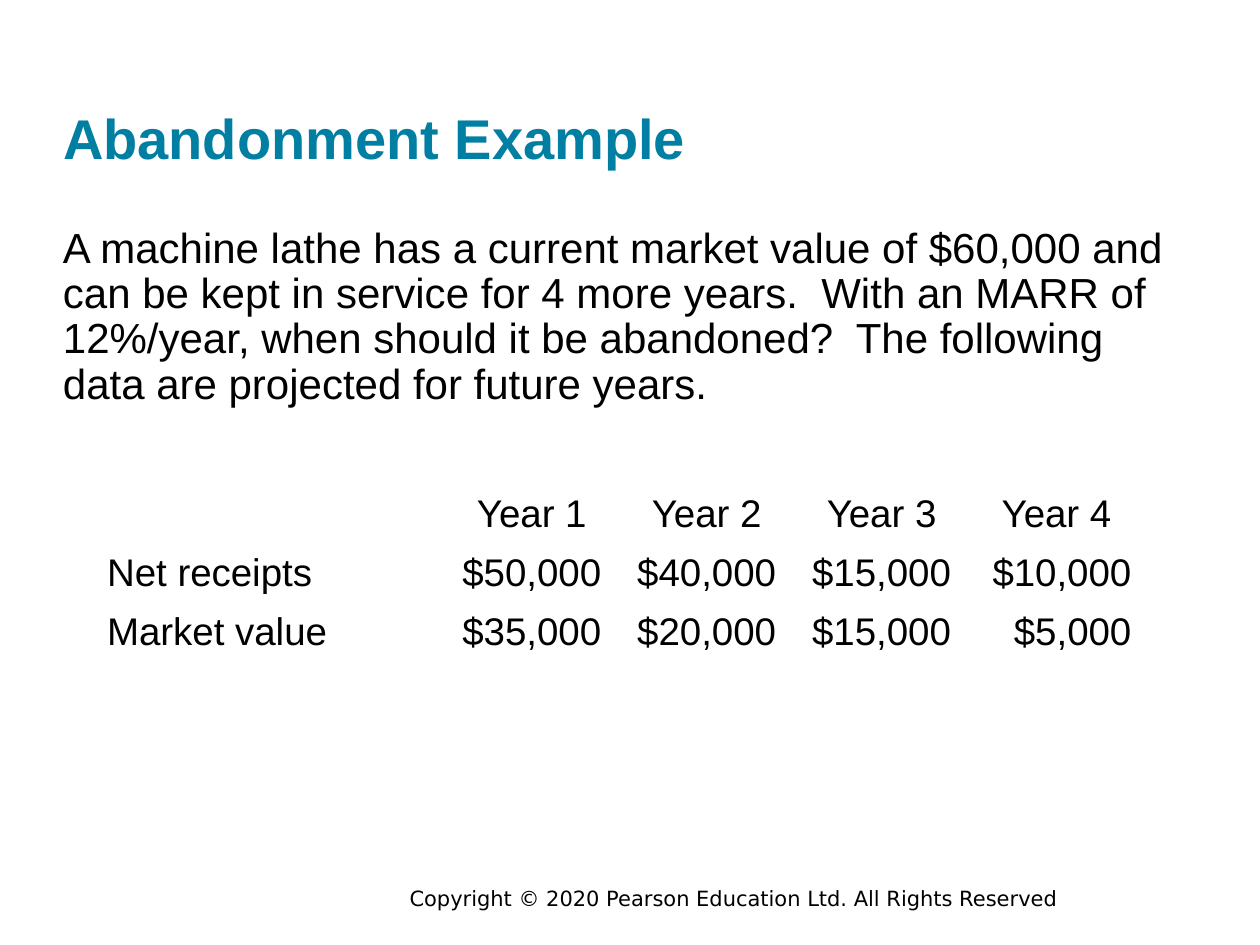
from dataclasses import dataclass

from pptx import Presentation
from pptx.dml.color import RGBColor
from pptx.enum import text
from pptx.util import Inches, Pt


@dataclass(frozen=True)
class Theme:
    accent: RGBColor = RGBColor(0x00, 0x7F, 0xA3)
    ink: RGBColor = RGBColor(0x00, 0x00, 0x00)
    font: str = "Arial"
    footer_font: str = "DejaVu Sans"
    title_size: int = 32
    body_size: int = 24
    table_size: int = 22
    footer_size: int = 12


THEME = Theme()
ALIGN = text.PP_ALIGN

BODY = (
    "A machine lathe has a current market value of $60,000 and can be kept in "
    "service for 4 more years.  With an MARR of 12%/year, when should it be "
    "abandoned?  The following data are projected for future years."
)
YEARS = ["Year 1", "Year 2", "Year 3", "Year 4"]
PROJECTIONS = {
    "Net receipts": ["$50,000", "$40,000", "$15,000", "$10,000"],
    "Market value": ["$35,000", "$20,000", "$15,000", "$5,000"],
}


def style(paragraph, size, color=THEME.ink, name=THEME.font, bold=False,
          align=ALIGN.LEFT):
    paragraph.alignment = align
    paragraph.font.size = Pt(size)
    paragraph.font.color.rgb = color
    paragraph.font.name = name
    paragraph.font.bold = bold


def write_block(shape, words):
    frame = shape.text_frame
    frame.word_wrap = True
    frame.auto_size = text.MSO_AUTO_SIZE.NONE
    frame.vertical_anchor = text.MSO_ANCHOR.TOP
    frame.margin_left = frame.margin_right = 0
    frame.margin_top = frame.margin_bottom = 0
    frame.text = words
    return frame.paragraphs[0]


def add_title(slide, box):
    title = slide.shapes.title
    title.left, title.top, title.width, title.height = box
    paragraph = write_block(title, "Abandonment Example")
    style(paragraph, THEME.title_size, THEME.accent, bold=True)


def add_body(slide, box):
    paragraph = write_block(slide.shapes.add_textbox(*box), BODY)
    paragraph.line_spacing = 0.9
    style(paragraph, THEME.body_size)


def add_footer(slide, box):
    paragraph = write_block(
        slide.shapes.add_textbox(*box),
        "Copyright © 2020 Pearson Education Ltd. All Rights Reserved",
    )
    style(paragraph, THEME.footer_size, name=THEME.footer_font)


def write_cell(cell, words, align):
    cell.vertical_anchor = text.MSO_ANCHOR.MIDDLE
    cell.text = words
    style(cell.text_frame.paragraphs[0], THEME.table_size, align=align)


def add_projections(slide, box):
    table = slide.shapes.add_table(1 + len(PROJECTIONS), 2 + len(YEARS), *box).table
    table.first_row = False
    table.horz_banding = False
    for cell in table.iter_cells():
        cell.fill.background()
    for column, year in enumerate(YEARS, 2):
        write_cell(table.cell(0, column), year, ALIGN.CENTER)
    for row, (label, amounts) in enumerate(PROJECTIONS.items(), 1):
        table.cell(row, 0).merge(table.cell(row, 1))
        write_cell(table.cell(row, 0), label, ALIGN.LEFT)
        for column, amount in enumerate(amounts, 2):
            last = column == len(YEARS) + 1
            write_cell(table.cell(row, column), amount,
                       ALIGN.RIGHT if last else ALIGN.CENTER)


def box(left, top, width, height):
    return Inches(left), Inches(top), Inches(width), Inches(height)


def main():
    presentation = Presentation()
    presentation.slide_width = Inches(10)
    presentation.slide_height = Inches(7.5)
    slide = presentation.slides.add_slide(presentation.slide_layouts[5])
    add_footer(slide, box(3.25, 7.03, 6.58, 0.2))
    add_title(slide, box(0.5, 0.82, 9, 0.54))
    add_body(slide, box(0.5, 1.8, 9, 1.45))
    add_projections(slide, box(0.75, 3.85, 8.33, 1.4))
    presentation.save("out.pptx")


if __name__ == "__main__":
    main()
